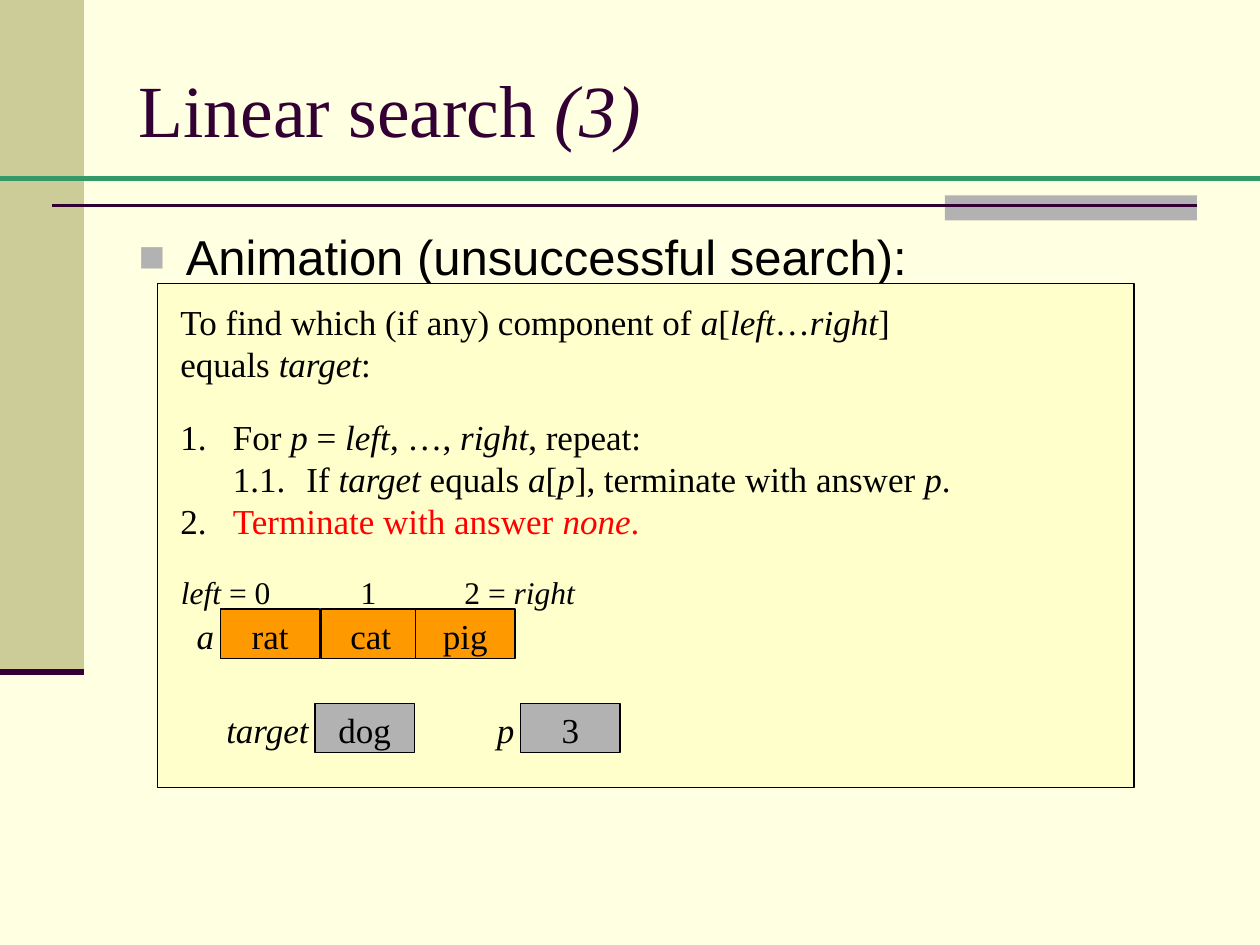
from dataclasses import dataclass

from lxml.etree import SubElement
from pptx import Presentation
from pptx.dml.color import RGBColor
from pptx.enum.shapes import MSO_CONNECTOR, MSO_SHAPE
from pptx.enum.text import MSO_ANCHOR, MSO_AUTO_SIZE, PP_ALIGN
from pptx.oxml.ns import qn
from pptx.util import Pt


@dataclass(frozen=True)
class Theme:
    background: str = "FFFFE1"
    band: str = "CCCC99"
    accent: str = "B2B2B2"
    dark: str = "330033"
    rule: str = "339966"
    panel: str = "FFFFCC"
    array: str = "FF9900"
    text: str = "000000"
    active: str = "FF0000"
    serif: str = "Times New Roman"
    sans: str = "Arial"
    title_size: float = 42
    bullet_size: float = 28
    text_size: float = 20
    index_size: float = 18


THEME = Theme()
CELL_WIDTH, CELL_HEIGHT = 56.8, 28.2
ARRAY_TOP, VARIABLE_TOP, INDEX_TOP = 348, 402, 324
TIGHT = {"margin_left": Pt(3.6), "margin_right": Pt(3.6),
         "margin_top": Pt(2.9), "margin_bottom": Pt(2.9), "word_wrap": False}
WRAPPED = {"word_wrap": True}


def set_attributes(target, values):
    for name, value in values.items():
        setattr(target, name, value)


def write(paragraph, markup, size=THEME.text_size, color=THEME.text, font=THEME.serif):
    """Append text to a paragraph; parts between asterisks are italic."""
    for part_index, part in enumerate(markup.split("*")):
        for line_index, line in enumerate(part.split("\n")):
            if line_index:
                paragraph.add_line_break()
            if line:
                run = paragraph.add_run()
                run.text = line
                set_attributes(run.font, {"name": font, "size": Pt(size),
                                          "italic": part_index % 2 == 1})
                run.font.color.rgb = RGBColor.from_string(color)


def add_tab_stops(paragraph, positions):
    tab_list = SubElement(paragraph._p.get_or_add_pPr(), qn("a:tabLst"))
    for position in positions:
        SubElement(tab_list, qn("a:tab"), pos=str(Pt(position)), algn="l")


def add_bullet(paragraph, character, color, indent):
    properties = paragraph._p.get_or_add_pPr()
    properties.set("marL", str(Pt(indent)))
    properties.set("indent", str(Pt(-indent)))
    bullet_color = SubElement(properties, qn("a:buClr"))
    SubElement(bullet_color, qn("a:srgbClr"), val=color)
    SubElement(properties, qn("a:buSzPct"), val="90000")
    SubElement(properties, qn("a:buFont"), typeface=THEME.sans)
    SubElement(properties, qn("a:buChar"), char=character)


def add_box(slide, left, top, width, height, fill, outlined=False):
    box = slide.shapes.add_shape(MSO_SHAPE.RECTANGLE, Pt(left), Pt(top), Pt(width), Pt(height))
    box.shadow.inherit = False
    box.fill.solid()
    box.fill.fore_color.rgb = RGBColor.from_string(fill)
    if outlined:
        box.line.color.rgb = RGBColor.from_string(THEME.text)
        box.line.width = Pt(0.75)
    else:
        box.line.fill.background()
    return box


def add_line(slide, left, right, top, color, width):
    line = slide.shapes.add_connector(MSO_CONNECTOR.STRAIGHT, Pt(left), Pt(top), Pt(right), Pt(top))
    line.line.color.rgb = RGBColor.from_string(color)
    line.line.width = Pt(width)
    SubElement(line._element.spPr, qn("a:effectLst"))


def add_text(slide, left, top, width, height, frame_format):
    frame = slide.shapes.add_textbox(Pt(left), Pt(top), Pt(width), Pt(height)).text_frame
    set_attributes(frame, frame_format)
    return frame


def add_cell(slide, left, top, value, fill):
    frame = add_box(slide, left, top, CELL_WIDTH, CELL_HEIGHT, fill, outlined=True).text_frame
    set_attributes(frame, {**TIGHT, "vertical_anchor": MSO_ANCHOR.TOP})
    frame.paragraphs[0].alignment = PP_ALIGN.CENTER
    write(frame.paragraphs[0], value)


def add_name(slide, right, top, width, name):
    """Add a variable name that ends at the left edge of its cell."""
    paragraph = add_text(slide, right - width, top, width, 30, TIGHT).paragraphs[0]
    paragraph.alignment = PP_ALIGN.RIGHT
    write(paragraph, f"*{name}*")


def add_index(slide, left, width, markup):
    paragraph = add_text(slide, left, INDEX_TOP, width, 29, WRAPPED).paragraphs[0]
    paragraph.alignment = PP_ALIGN.CENTER
    write(paragraph, markup, THEME.index_size)


def place_placeholder(placeholder, top, height, anchor):
    set_attributes(placeholder, {"left": Pt(72), "top": Pt(top),
                                 "width": Pt(612), "height": Pt(height)})
    set_attributes(placeholder.text_frame, {"auto_size": MSO_AUTO_SIZE.NONE,
                                            "vertical_anchor": anchor})
    paragraph = placeholder.text_frame.paragraphs[0]
    paragraph.alignment = PP_ALIGN.LEFT
    return paragraph


def add_headings(slide):
    title = place_placeholder(slide.shapes.title, 21.6, 80.6, MSO_ANCHOR.MIDDLE)
    write(title, "Linear search *(3)*", THEME.title_size, THEME.dark)
    body = place_placeholder(slide.placeholders[1], 126, 356.4, MSO_ANCHOR.TOP)
    add_bullet(body, "■", THEME.accent, 27)
    write(body, "Animation (unsuccessful search):", THEME.bullet_size, font=THEME.sans)


def add_decoration(slide):
    add_box(slide, 0, 0, 48, 384, THEME.band)
    add_box(slide, 540, 111.6, 144, 14.4, THEME.accent)
    add_line(slide, 30, 684, 117.5, THEME.dark, 1.5)
    add_line(slide, 0, 48, 384, THEME.dark, 3.5)
    add_line(slide, 0, 720, 102, THEME.rule, 3)


def add_algorithm(slide):
    frame = add_text(slide, 96, 168, 456, 145.5, WRAPPED)
    goal, steps = frame.paragraphs[0], frame.add_paragraph()
    goal.space_before = steps.space_before = Pt(18)
    add_tab_stops(steps, (30, 72))
    write(goal, "To find which (if any) component of *a*[*left*…*right*] equals *target*:")
    write(steps, "1.\tFor *p* = *left*, …, *right*, repeat:\n"
                 "\t1.1.\tIf *target* equals *a*[*p*], terminate with answer *p*.\n2.\t")
    write(steps, "Terminate with answer *none*.", color=THEME.active)


def add_state(slide):
    """Draw the array with its indices, and the two variables."""
    for left, value in ((126, "rat"), (183.5, "cat"), (237.5, "pig")):
        add_cell(slide, left, ARRAY_TOP, value, THEME.array)
    for left, width, markup in ((96, 66, "*left *= 0"), (198.5, 24, "1"), (258, 78, "2 = *right*")):
        add_index(slide, left, width, markup)
    add_name(slide, 126, ARRAY_TOP, 24, "a")
    for left, width, name, value in ((180, 57, "target", "dog"), (297.5, 22, "p", "3")):
        add_cell(slide, left, VARIABLE_TOP, value, THEME.accent)
        add_name(slide, left, VARIABLE_TOP, width, name)


def main():
    presentation = Presentation()
    set_attributes(presentation, {"slide_width": Pt(720), "slide_height": Pt(540)})
    slide = presentation.slides.add_slide(presentation.slide_layouts[1])
    slide.background.fill.solid()
    slide.background.fill.fore_color.rgb = RGBColor.from_string(THEME.background)
    add_headings(slide)
    add_decoration(slide)
    add_box(slide, 90, 162, 558, 288, THEME.panel, outlined=True)
    add_algorithm(slide)
    add_state(slide)
    presentation.save("out.pptx")


if __name__ == "__main__":
    main()
